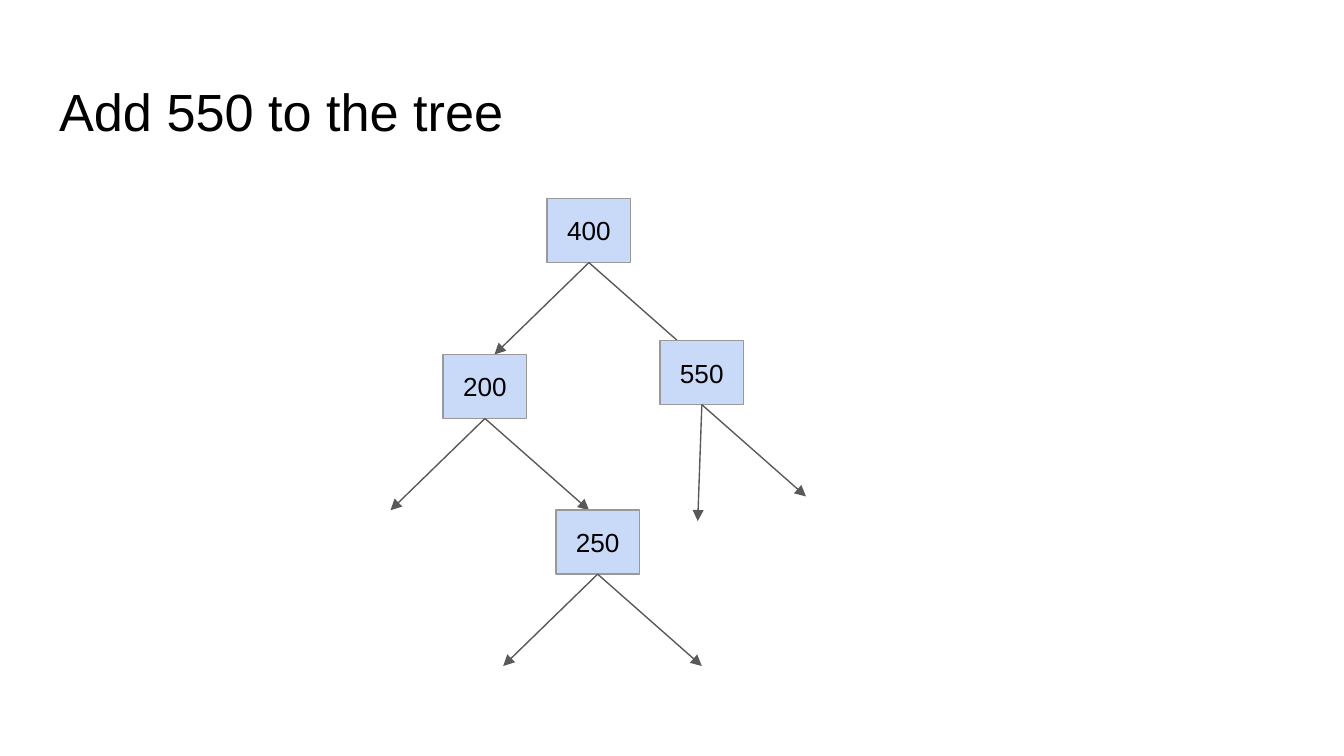
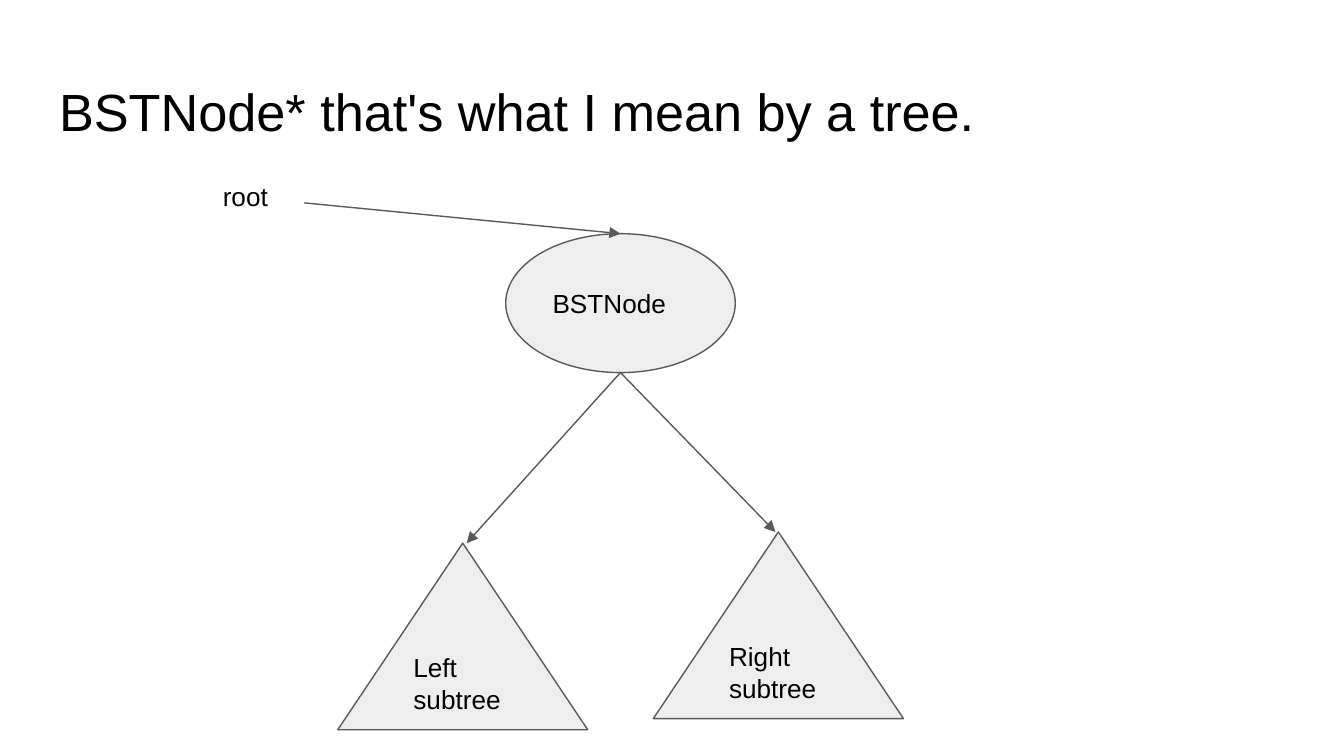
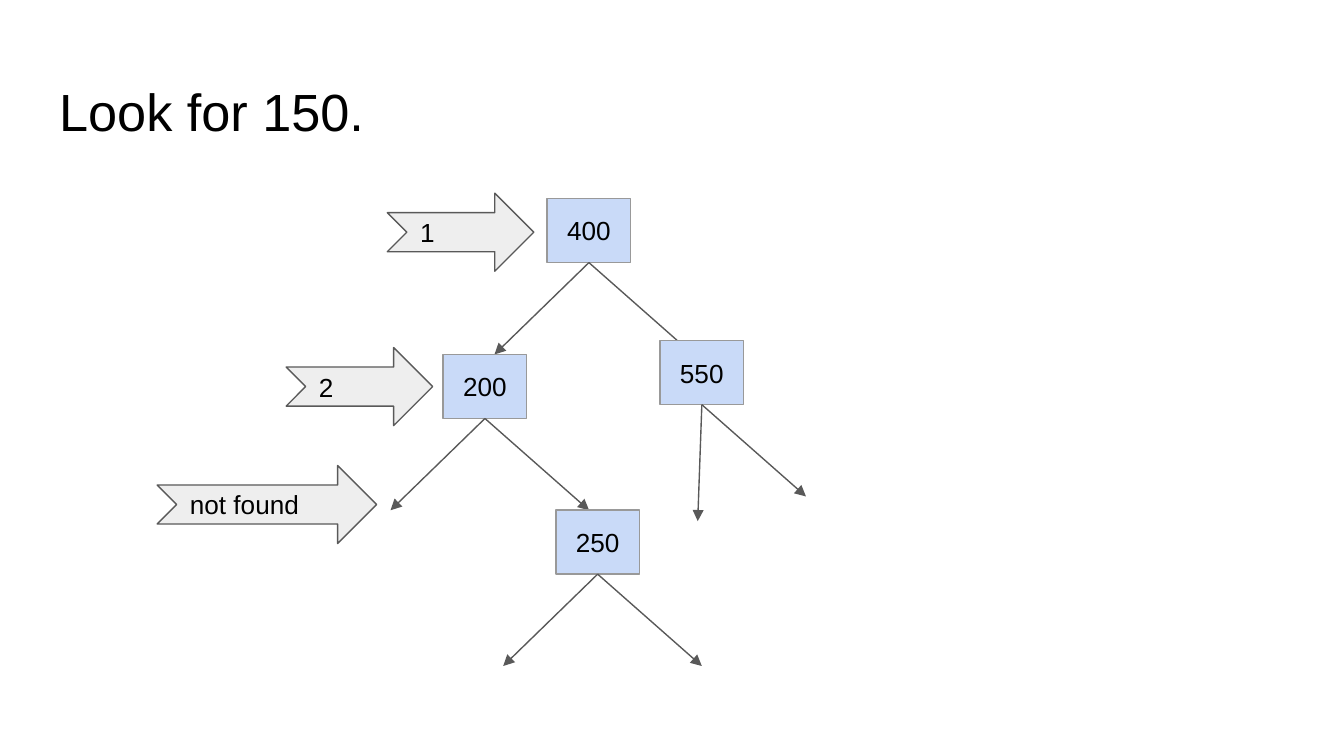
from lxml.etree import SubElement
from pptx import Presentation
from pptx.dml.color import RGBColor
from pptx.enum.shapes import MSO_CONNECTOR, MSO_SHAPE
from pptx.enum.text import MSO_ANCHOR, PP_ALIGN
from pptx.oxml.ns import qn
from pptx.util import Pt

BLACK = RGBColor(0x00, 0x00, 0x00)
BLUE = RGBColor(0xC9, 0xDA, 0xF8)
LIGHT_GRAY = RGBColor(0xEE, 0xEE, 0xEE)
MID_GRAY = RGBColor(0x99, 0x99, 0x99)
DARK_GRAY = RGBColor(0x59, 0x59, 0x59)
FONT = "Arial"
INSET = Pt(7.2)

NODE_WIDTH, NODE_HEIGHT = 44.8, 34.4
LEFT_BRANCH, RIGHT_BRANCH = (-50.6, 49.2), (55.8, 49.2)
TREE_NODES = [
    ("400", 293.1, 106.3, LEFT_BRANCH),
    ("200", 237.4, 189.8, LEFT_BRANCH),
    ("250", 297.8, 273.2, LEFT_BRANCH),
    ("550", 353.6, 182.4, (-2.2, 62.4)),
]
SEARCH_STEPS = [
    ("1", 207.5, 103.5, 78.5),
    ("2", 153.3, 186.2, 78.5),
    ("not found", 84.2, 249.4, 117.6),
]


def write_text(shape, text, size=14, align=PP_ALIGN.LEFT, anchor=MSO_ANCHOR.MIDDLE):
    frame = shape.text_frame
    frame.text = text
    frame.word_wrap = True
    frame.vertical_anchor = anchor
    frame.margin_left = frame.margin_right = INSET
    frame.margin_top = frame.margin_bottom = INSET
    paragraph = frame.paragraphs[0]
    paragraph.alignment = align
    for span in paragraph.runs:
        span.font.name = FONT
        span.font.size = Pt(size)
        span.font.color.rgb = BLACK


def add_arrow(page, start_x, start_y, end_x, end_y):
    arrow = page.shapes.add_connector(
        MSO_CONNECTOR.STRAIGHT, Pt(start_x), Pt(start_y), Pt(end_x), Pt(end_y))
    arrow.line.color.rgb = DARK_GRAY
    arrow.line.width = Pt(0.75)
    SubElement(arrow.line._get_or_add_ln(), qn("a:tailEnd"),
               type="triangle", w="med", len="med")
    SubElement(arrow._element.spPr, qn("a:effectLst"))


deck = Presentation()
deck.slide_width, deck.slide_height = Pt(720), Pt(405)

pages = []
for title_text in ["Add 550 to the tree",
                   "BSTNode* that's what I mean by a tree.",
                   "Look for 150."]:
    page = deck.slides.add_slide(deck.slide_layouts[5])
    title = page.shapes.title
    title.left, title.top, title.width, title.height = Pt(24.5), Pt(35), Pt(671), Pt(45)
    write_text(title, title_text, 28, anchor=MSO_ANCHOR.TOP)
    pages.append(page)
insert_page, subtree_page, search_page = pages

outlined = []

for page in (insert_page, search_page):
    for value, left, top, left_branch in TREE_NODES:
        node = page.shapes.add_shape(
            MSO_SHAPE.RECTANGLE, Pt(left), Pt(top), Pt(NODE_WIDTH), Pt(NODE_HEIGHT))
        write_text(node, value, align=PP_ALIGN.CENTER)
        outlined.append((node, BLUE, MID_GRAY))
        start_x, start_y = left + NODE_WIDTH / 2, top + NODE_HEIGHT
        for across, down in (left_branch, RIGHT_BRANCH):
            add_arrow(page, start_x, start_y, start_x + across, start_y + down)

for text, left, top, width in SEARCH_STEPS:
    step = search_page.shapes.add_shape(
        MSO_SHAPE.NOTCHED_RIGHT_ARROW, Pt(left), Pt(top), Pt(width), Pt(41.8))
    write_text(step, text)
    outlined.append((step, LIGHT_GRAY, DARK_GRAY))

for text, kind, left, top, width, height in [
    ("BSTNode", MSO_SHAPE.OVAL, 270.9, 125.2, 123, 74.4),
    ("Left subtree", MSO_SHAPE.ISOSCELES_TRIANGLE, 180.9, 291, 134, 100),
    ("Right subtree", MSO_SHAPE.ISOSCELES_TRIANGLE, 350, 285, 134, 100),
]:
    part = subtree_page.shapes.add_shape(kind, Pt(left), Pt(top), Pt(width), Pt(height))
    write_text(part, text)
    outlined.append((part, LIGHT_GRAY, DARK_GRAY))

for ends in [(332.4, 199.6, 250, 291), (332.4, 199.6, 415.4, 285),
             (163, 108.7, 332.4, 125.2)]:
    add_arrow(subtree_page, *ends)

root_label = subtree_page.shapes.add_textbox(Pt(112.3), Pt(89.3), Pt(64), Pt(36))
write_text(root_label, "root", anchor=MSO_ANCHOR.TOP)

for shape, fill_color, line_color in outlined:
    shape.shadow.inherit = False
    shape.fill.solid()
    shape.fill.fore_color.rgb = fill_color
    shape.line.color.rgb = line_color
    shape.line.width = Pt(0.75)

deck.save("out.pptx")
